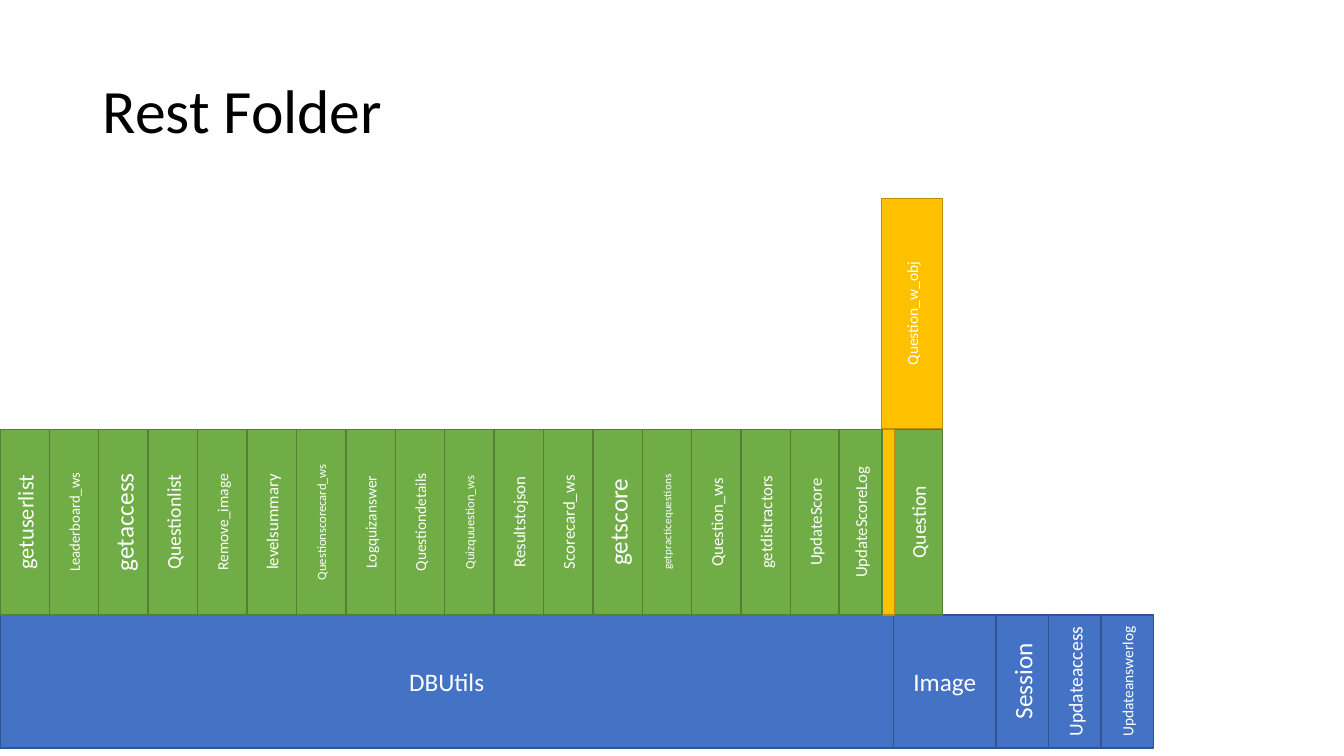
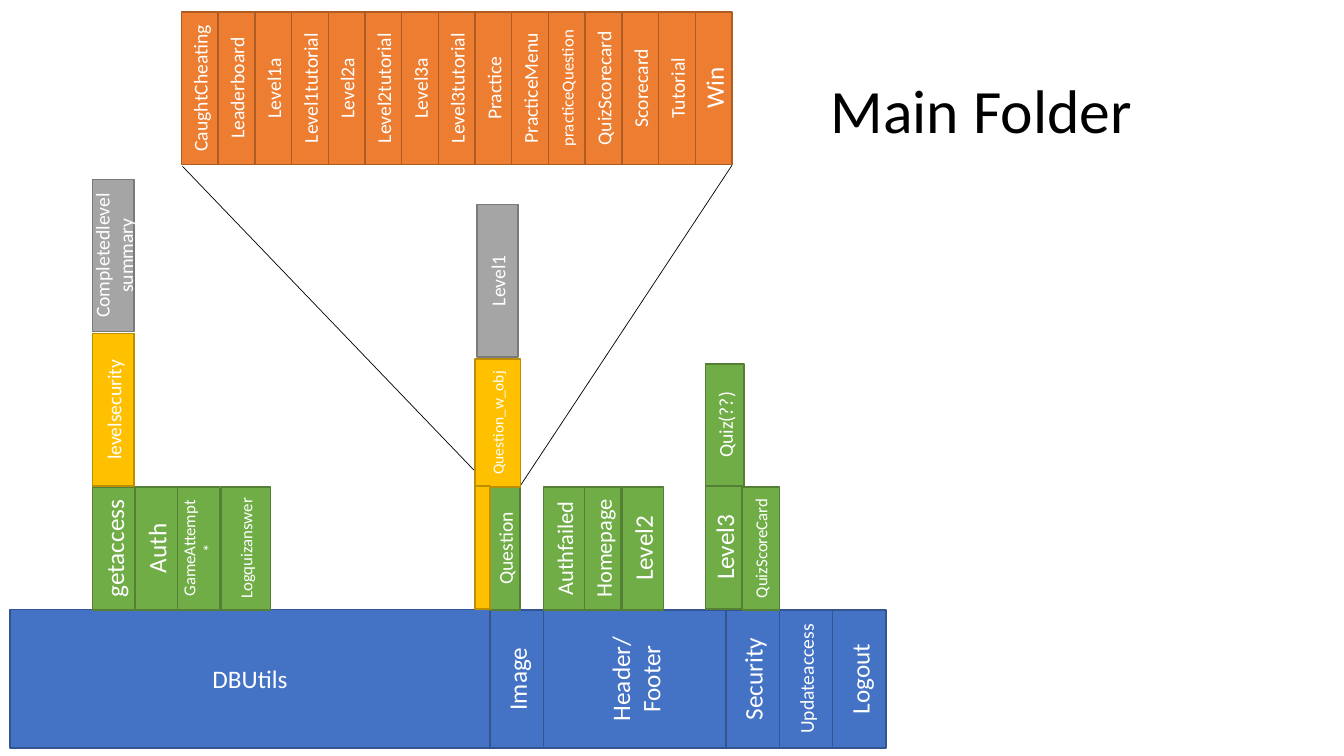
from lxml import etree
from pptx import Presentation
from pptx.dml.color import RGBColor
from pptx.enum.shapes import MSO_CONNECTOR, MSO_SHAPE
from pptx.enum.text import MSO_ANCHOR, PP_ALIGN
from pptx.oxml.ns import qn
from pptx.util import Inches, Pt

RECT = MSO_SHAPE.RECTANGLE
LINE = MSO_CONNECTOR.STRAIGHT
MIDDLE = MSO_ANCHOR.MIDDLE
CENTER = PP_ALIGN.CENTER

FONT = "Calibri"
BLACK = RGBColor(0x00, 0x00, 0x00)
WHITE = RGBColor(0xFF, 0xFF, 0xFF)
# Each tone is a fill and its darker edge
BLUE = RGBColor(0x44, 0x72, 0xC4), RGBColor(0x32, 0x54, 0x91)
GREEN = RGBColor(0x70, 0xAD, 0x47), RGBColor(0x53, 0x80, 0x35)
GOLD = RGBColor(0xFF, 0xC0, 0x00), RGBColor(0xBD, 0x8E, 0x00)
ORANGE = RGBColor(0xED, 0x7D, 0x31), RGBColor(0xAF, 0x5C, 0x24)
GRAY = RGBColor(0xA5, 0xA5, 0xA5), RGBColor(0x7A, 0x7A, 0x7A)

REST_CALLS = [
    ("getuserlist", 16), ("Leaderboard_ws", 10.5), ("getaccess", 18),
    ("Questionlist", 14), ("Remove_image", 11), ("levelsummary", 12),
    ("Questionscorecard_ws", 9), ("Logquizanswer", 11),
    ("Questiondetails", 11), ("Quizquuestion_ws", 9),
    ("Resultstojson", 12), ("Scorecard_ws", 12), ("getscore", 18),
    ("getpracticequestions", 8), ("Question_ws", 12),
    ("getdistractors", 12), ("UpdateScore", 12),
]
REST_BASE = [("Session", 18), ("Updateaccess", 14), ("Updateanswerlog", 11)]
PAGES = [
    ("CaughtCheating", 14), ("Leaderboard", 14), ("Level1a", 14),
    ("Level1tutorial", 14), ("Level2a", 14), ("Level2tutorial", 14),
    ("Level3a", 14), ("Level3tutorial", 14), ("Practice", 14),
    ("PracticeMenu", 14), ("practiceQuestion", 12), ("QuizScorecard", 14),
    ("Scorecard", 14), ("Tutorial", 14), ("Win", 18),
]
ACCESS = [("getaccess", 18), ("Auth", 18), ("GameAttempt*", 12)]
MAIN_BASE = [("Security", 18), ("Updateaccess", 14), ("Logout", 18)]


def style(para, size, color):
    """Set the font of one paragraph."""
    para.font.name = FONT
    para.font.size = Pt(size)
    para.font.color.rgb = color


def add_title(slide, text, left, width):
    """Add the slide title."""
    box = slide.shapes.add_textbox(
        Inches(left), Inches(0.4), Inches(width), Inches(1.45))
    frame = box.text_frame
    frame.word_wrap = True
    frame.vertical_anchor = MIDDLE
    frame.text = text
    para = frame.paragraphs[0]
    para.line_spacing = 0.9
    style(para, 44, BLACK)


def add_block(slide, tone, left, top, width, height, text="", size=18):
    """Add a level block with its text across."""
    block = slide.shapes.add_shape(
        RECT, Inches(left), Inches(top), Inches(width), Inches(height))
    fill, edge = tone
    block.shadow.inherit = False
    block.fill.solid()
    block.fill.fore_color.rgb = fill
    block.line.color.rgb = edge
    block.line.width = Pt(1)
    frame = block.text_frame
    frame.word_wrap = True
    frame.vertical_anchor = MIDDLE
    frame.text = text
    for para in frame.paragraphs:
        para.alignment = CENTER
        style(para, size, WHITE)
    return block


def add_tower(slide, tone, left, top, width, height, text="", size=18):
    """Add a block that reads upwards; the box is given as it stands."""
    shift = (height - width) / 2
    block = add_block(slide, tone, left - shift, top + shift,
                      height, width, text, size)
    block.rotation = 270


def add_row(slide, tone, left, top, width, height, labels):
    """Add towers side by side."""
    for i, (text, size) in enumerate(labels):
        add_tower(slide, tone, left + i * width, top, width, height,
                  text, size)


def add_line(slide, x1, y1, x2, y2):
    """Add a thin black line."""
    line = slide.shapes.add_connector(
        LINE, Inches(x1), Inches(y1), Inches(x2), Inches(y2))
    line.line.color.rgb = BLACK
    line.line.width = Pt(0.5)
    etree.SubElement(line._element.spPr, qn("a:effectLst"))


def build_rest(slide):
    """Fill the slide of the rest folder."""
    add_title(slide, "Rest Folder", 0.92, 11.5)
    add_block(slide, BLUE, 0, 6.1, 8.86, 1.32, "DBUtils")
    add_block(slide, BLUE, 8.86, 6.1, 1.02, 1.32, "Image")
    add_row(slide, BLUE, 9.88, 6.1, 0.52, 1.32, REST_BASE)
    add_row(slide, GREEN, 0, 4.26, 0.49, 1.84, REST_CALLS)
    add_tower(slide, GOLD, 8.74, 1.97, 0.61, 2.28, "Question_w_obj", 11)
    add_tower(slide, GREEN, 8.86, 4.26, 0.49, 1.84, "Question", 14)
    add_tower(slide, GOLD, 8.73, 4.26, 0.14, 1.84)
    add_tower(slide, GREEN, 8.32, 4.26, 0.43, 1.84, "UpdateScoreLog", 12)


def build_main(slide):
    """Fill the slide of the main folder."""
    add_title(slide, "Main Folder", 8.14, 4.28)
    add_block(slide, BLUE, 0.1, 6.05, 4.76, 1.37, "DBUtils")
    add_tower(slide, BLUE, 5.39, 6.05, 1.82, 1.37, "Header/\nFooter")
    add_tower(slide, BLUE, 4.86, 6.05, 0.53, 1.37, "Image")
    add_row(slide, BLUE, 7.2, 6.05, 0.53, 1.37, MAIN_BASE)

    add_row(slide, ORANGE, 1.8, 0.12, 5.46 / len(PAGES), 1.51, PAGES)
    add_line(slide, 1.81, 1.65, 4.86, 4.83)
    add_line(slide, 5.16, 4.82, 7.26, 1.64)

    add_row(slide, GREEN, 0.92, 4.83, 0.42, 1.22, ACCESS)
    add_tower(slide, GREEN, 2.19, 4.83, 0.49, 1.22, "Logquizanswer", 12)
    add_tower(slide, GOLD, 0.92, 3.31, 0.41, 1.51, "levelsecurity", 14)
    add_tower(slide, GRAY, 0.92, 1.78, 0.41, 1.51,
              "Completedlevelsummary", 14)

    add_tower(slide, GREEN, 4.86, 4.83, 0.3, 1.22, "Question", 14)
    add_tower(slide, GOLD, 4.71, 3.56, 0.45, 1.27, "Question_w_obj", 11)
    add_tower(slide, GOLD, 4.71, 4.82, 0.15, 1.22)
    add_tower(slide, GRAY, 4.73, 2.03, 0.41, 1.51, "Level1", 14)

    add_tower(slide, GREEN, 5.39, 4.83, 0.41, 1.22, "Authfailed", 16)
    add_tower(slide, GREEN, 5.8, 4.83, 0.36, 1.22, "Homepage", 16)
    add_tower(slide, GREEN, 6.17, 4.83, 0.41, 1.22, "Level2")
    add_tower(slide, GREEN, 7, 4.82, 0.36, 1.22, "Level3")
    add_tower(slide, GREEN, 7, 3.61, 0.38, 1.21, "Quiz(??)", 14)
    add_tower(slide, GREEN, 7.36, 4.83, 0.37, 1.22, "QuizScoreCard", 12)


def main():
    """Build and save the slides."""
    deck = Presentation()
    deck.slide_width = Inches(13.33)
    deck.slide_height = Inches(7.5)
    blank = deck.slide_layouts[6]
    for build in (build_rest, build_main):
        build(deck.slides.add_slide(blank))
    deck.save("out.pptx")


main()
